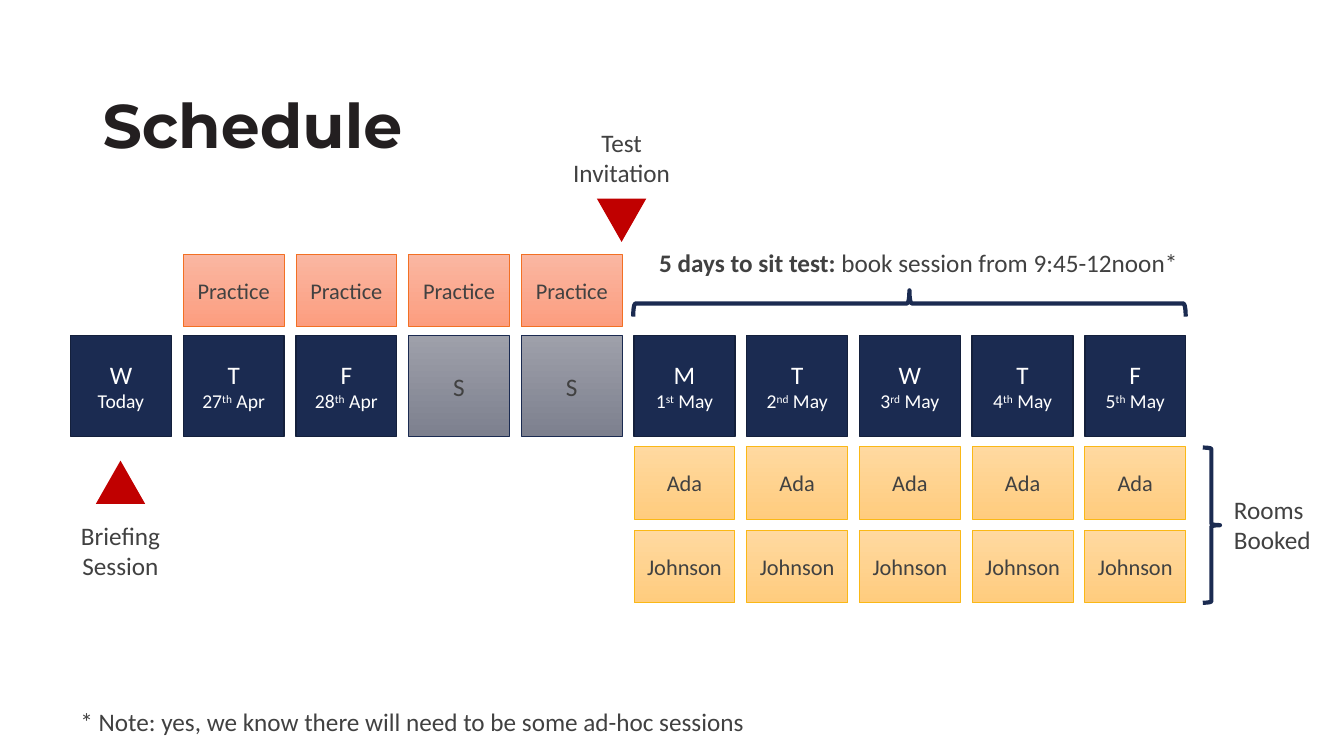
"""Builds the test schedule slide: ten day tiles with practice, rooms and milestones."""
from pptx import Presentation
from pptx.dml.color import RGBColor
from pptx.enum.shapes import MSO_SHAPE
from pptx.enum.text import MSO_ANCHOR, MSO_AUTO_SIZE, PP_ALIGN
from pptx.util import Inches, Pt

THEME = {
    "font": "Calibri", "title_font": "Montserrat",
    "title": "231F20", "text": "414141", "light": "FFFFFF",
    "navy": "1B2B51", "navy_edge": "14203C", "marker": "C00000",
    "weekend": ("9EA0AA", "7D808E"),
    "room": ("FFD9A0", "FFCC7E"), "room_edge": "FAB816",
    "practice": ("FAB7A2", "FC9D7F"), "practice_edge": "F27024",
    "title_size": 44, "body_size": 18, "session_size": 16, "date_size": 14,
}

TITLE = "Schedule"
DAYS = [
    ("W", ("Today",)), ("T", ("27", "th", " Apr")), ("F", ("28", "th", " Apr")),
    ("S", None), ("S", None),
    ("M", ("1", "st", " May")), ("T", ("2", "nd", " May")), ("W", ("3", "rd", " May")),
    ("T", ("4", "th", " May")), ("F", ("5", "th", " May")),
]
PRACTICE = "Practice"
PRACTICE_DAYS = range(1, 5)
ROOMS = ["Ada", "Johnson"]
TEST_DAYS = range(5, 10)
CAPTIONS = [
    ((0.7, 5.11, 0.99, 0.71), PP_ALIGN.CENTER, [["Briefing"], ["Session"]]),
    ((6.44, 2.4, 5.4, 0.4), PP_ALIGN.LEFT,
     [[("5 days to sit test: ", {"bold": True}), "book session from 9:45-12noon*"]]),
    ((12.14, 4.85, 0.97, 0.71), PP_ALIGN.LEFT, [["Rooms"], ["Booked"]]),
    ((5.58, 1.21, 1.17, 0.71), PP_ALIGN.CENTER, [["Test"], ["Invitation"]]),
    ((0.7, 6.96, 6.8, 0.4), PP_ALIGN.LEFT,
     [["* Note: yes, we know there will need to be some ad-hoc sessions"]]),
]
MARKERS = [((0.95, 4.57, 0.49, 0.43), 0), ((5.92, 1.97, 0.49, 0.43), 180)]
BRACES = [((8.89, 0.27, 0.26, 5.48), 270), ((11.93, 4.44, 0.17, 1.54), 0)]

FIRST_LEFT, LAST_LEFT = 0.7, 10.76
PITCH = (LAST_LEFT - FIRST_LEFT) / (len(DAYS) - 1)
TILE, SESSION_HEIGHT = 1, 0.72
DAY_TOP, PRACTICE_TOP, ROOM_TOP, ROOM_PITCH = 3.33, 2.52, 4.43, 0.83


def rgb(name):
    return RGBColor.from_string(THEME.get(name, name))


def write(frame, paragraphs, size=THEME["body_size"], color="text", font=THEME["font"],
          bold=False, align=PP_ALIGN.CENTER, anchor=MSO_ANCHOR.MIDDLE, wrap=True, spacing=None):
    frame.word_wrap = wrap
    frame.auto_size = MSO_AUTO_SIZE.NONE if wrap else MSO_AUTO_SIZE.SHAPE_TO_FIT_TEXT
    frame.vertical_anchor = anchor
    for index, pieces in enumerate(paragraphs):
        paragraph = frame.add_paragraph() if index else frame.paragraphs[0]
        paragraph.alignment = align
        paragraph.line_spacing = spacing
        for piece in pieces:
            words, special = (piece, {}) if isinstance(piece, str) else piece
            run = paragraph.add_run()
            run.text = words
            run.font.name = font
            run.font.size = Pt(special.get("size", size))
            run.font.bold = special.get("bold", bold)
            run.font.color.rgb = rgb(color)
            if special.get("raised"):
                run._r.get_or_add_rPr().set("baseline", "30000")


def draw(slide, kind, box, fill=None, edge=None, weight=0.5, rotation=0):
    shape = slide.shapes.add_shape(kind, *map(Inches, box))
    shape.shadow.inherit = False
    shape.rotation = rotation
    if fill is None:
        shape.fill.background()
    elif isinstance(THEME[fill], tuple):
        shape.fill.gradient()
        shape.fill.gradient_angle = 270
        for stop, shade, position in zip(shape.fill.gradient_stops, THEME[fill], (0, 1)):
            stop.color.rgb = rgb(shade)
            stop.position = position
    else:
        shape.fill.solid()
        shape.fill.fore_color.rgb = rgb(fill)
    if edge:
        shape.line.color.rgb = rgb(edge)
        shape.line.width = Pt(weight)
    else:
        shape.line.fill.background()
    return shape


def add_tile(slide, column, top, height, fill, edge, paragraphs, weight=0.5, **style):
    box = (FIRST_LEFT + column * PITCH, top, TILE, height)
    tile = draw(slide, MSO_SHAPE.RECTANGLE, box, fill, edge, weight)
    write(tile.text_frame, paragraphs, **style)


def add_day(slide, column, letter, date):
    if date is None:
        add_tile(slide, column, DAY_TOP, TILE, "weekend", "navy", [[letter]])
        return
    dated = [(part, {"size": THEME["date_size"], "raised": index == 1})
             for index, part in enumerate(date)]
    add_tile(slide, column, DAY_TOP, TILE, "navy", "navy_edge", [[letter], dated],
             weight=1, color="light")


def main():
    deck = Presentation()
    deck.slide_width, deck.slide_height = Inches(13.33), Inches(7.5)
    slide = deck.slides.add_slide(deck.slide_layouts[6])

    heading = slide.shapes.add_textbox(*map(Inches, (0.92, 0.55, 11.5, 1.45)))
    write(heading.text_frame, [[TITLE]], size=THEME["title_size"], color="title",
          font=THEME["title_font"], bold=True, align=PP_ALIGN.LEFT, spacing=0.9)

    for column, (letter, date) in enumerate(DAYS):
        add_day(slide, column, letter, date)
    for column in PRACTICE_DAYS:
        add_tile(slide, column, PRACTICE_TOP, SESSION_HEIGHT, "practice", "practice_edge",
                 [[PRACTICE]], size=THEME["session_size"])
    for row, room in enumerate(ROOMS):
        for column in TEST_DAYS:
            add_tile(slide, column, ROOM_TOP + row * ROOM_PITCH, SESSION_HEIGHT,
                     "room", "room_edge", [[room]], size=THEME["session_size"])

    for box, rotation in MARKERS:
        draw(slide, MSO_SHAPE.ISOSCELES_TRIANGLE, box, "marker", rotation=rotation)
    for box, rotation in BRACES:
        draw(slide, MSO_SHAPE.RIGHT_BRACE, box, edge="navy", weight=3, rotation=rotation)
    for box, align, paragraphs in CAPTIONS:
        caption = slide.shapes.add_textbox(*map(Inches, box))
        write(caption.text_frame, paragraphs, align=align, anchor=MSO_ANCHOR.TOP, wrap=False)

    deck.save("out.pptx")


if __name__ == "__main__":
    main()
